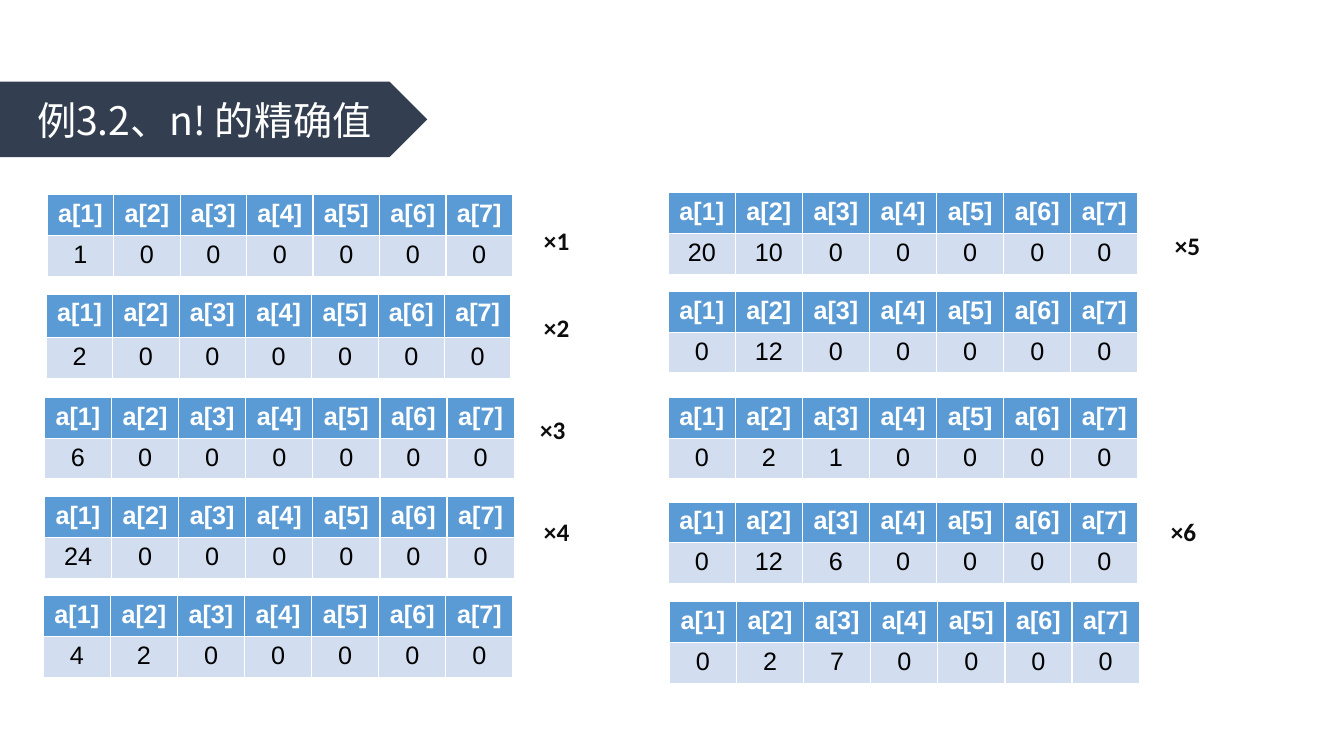
"""Build the slide that traces the exact value of n! through an array of digits."""
from dataclasses import dataclass

from lxml import etree
from pptx import Presentation
from pptx.dml.color import RGBColor
from pptx.enum.shapes import MSO_SHAPE
from pptx.enum.text import MSO_ANCHOR, MSO_AUTO_SIZE, PP_ALIGN
from pptx.oxml.ns import qn
from pptx.util import Cm, Pt

PENTAGON = MSO_SHAPE.PENTAGON
MIDDLE = MSO_ANCHOR.MIDDLE
NO_AUTOFIT = MSO_AUTO_SIZE.NONE
CENTER, LEFT = PP_ALIGN.CENTER, PP_ALIGN.LEFT
TITLE_ONLY = 5

TITLE = "例3.2、n! 的精确值"
DIGITS = 7
HEADERS = [f"a[{index}]" for index in range(1, DIGITS + 1)]

# left, top, width, header height, leading values
STATES = [
    (1.19, 4.90, 11.73, 1.03, (1,)),
    (1.17, 7.41, 11.71, 1.09, (2,)),
    (1.12, 10.01, 11.84, 1.03, (6,)),
    (1.12, 12.52, 11.84, 1.03, (24,)),
    (1.09, 15.01, 11.84, 1.03, (4, 2)),
    (16.84, 4.85, 11.84, 1.03, (20, 10)),
    (16.84, 7.34, 11.84, 1.03, (0, 12)),
    (16.84, 10.01, 11.84, 1.03, (0, 2, 1)),
    (16.84, 12.65, 11.84, 1.03, (0, 12, 6)),
    (16.87, 15.16, 11.84, 1.03, (0, 2, 7)),
]
FACTORS = [
    ("×1", 13.46, 5.56),
    ("×2", 13.46, 7.75),
    ("×3", 13.36, 10.31),
    ("×4", 13.46, 12.88),
    ("×5", 29.36, 5.69),
    ("×6", 29.26, 12.88),
]


@dataclass(frozen=True)
class Theme:
    """Colours, fonts and sizes of the slide."""
    banner: RGBColor = RGBColor.from_string("333F50")
    header: RGBColor = RGBColor.from_string("5B9BD5")
    body: RGBColor = RGBColor.from_string("D2DEEF")
    white: RGBColor = RGBColor.from_string("FFFFFF")
    black: RGBColor = RGBColor.from_string("000000")
    label: RGBColor = RGBColor.from_string("0D0D0D")
    title_font: str = "Noto Sans CJK SC"
    table_font: str = "Arial"
    label_font: str = "Calibri"
    title_size: Pt = Pt(28)
    text_size: Pt = Pt(18)


THEME = Theme()
TITLE_FORMAT = {"name": THEME.title_font, "size": THEME.title_size, "bold": False}
HEADER_FORMAT = {"name": THEME.table_font, "size": THEME.text_size, "bold": True}
BODY_FORMAT = HEADER_FORMAT | {"bold": False}
LABEL_FORMAT = HEADER_FORMAT | {"name": THEME.label_font}


def write(text_frame, text, font_format, color, alignment):
    """Fill a text frame with one formatted run and return the run."""
    paragraph = text_frame.paragraphs[0]
    paragraph.alignment = alignment
    run = paragraph.add_run()
    run.text = text
    for name, value in font_format.items():
        setattr(run.font, name, value)
    run.font.color.rgb = color
    return run


def add_title(slide):
    """Draw the banner and set the title on it."""
    banner = slide.shapes.add_shape(PENTAGON, 0, Cm(2.06), Cm(10.77), Cm(1.9))
    banner.shadow.inherit = False
    banner.fill.solid()
    banner.fill.fore_color.rgb = THEME.banner
    banner.line.fill.background()
    title = slide.shapes.title
    box = {"left": 0, "top": Cm(2.06), "width": Cm(10.3), "height": Cm(1.9)}
    for name, value in box.items():
        setattr(title, name, value)
    frame = title.text_frame
    frame.auto_size = NO_AUTOFIT
    frame.word_wrap = False
    frame.vertical_anchor = MIDDLE
    run = write(frame, TITLE, TITLE_FORMAT, THEME.white, CENTER)
    east_asian = etree.SubElement(run.font._element, qn("a:ea"))
    east_asian.set("typeface", THEME.title_font)
    banner.element.addnext(title.element)


def add_state(slide, left, top, width, header_height, leading):
    """Add one table holding the array at one step."""
    body_height = 1.03
    table = slide.shapes.add_table(2, DIGITS, Cm(left), Cm(top), Cm(width),
                                   Cm(header_height + body_height)).table
    values = leading + (0,) * (DIGITS - len(leading))
    rows = [
        (HEADERS, header_height, HEADER_FORMAT, THEME.white, THEME.header),
        (values, body_height, BODY_FORMAT, THEME.black, THEME.body),
    ]
    for row, (texts, height, font_format, color, fill) in zip(table.rows, rows):
        row.height = Cm(height)
        for cell, text in zip(row.cells, texts):
            cell.fill.solid()
            cell.fill.fore_color.rgb = fill
            write(cell.text_frame, str(text), font_format, color, CENTER)


def add_factor(slide, text, left, top):
    """Add the label of one multiplication."""
    box = slide.shapes.add_textbox(Cm(left), Cm(top), Cm(1.48), Cm(1.03))
    box.text_frame.word_wrap = False
    write(box.text_frame, text, LABEL_FORMAT, THEME.label, LEFT)


def main():
    """Build and save the presentation."""
    presentation = Presentation()
    presentation.slide_width = Cm(33.87)
    presentation.slide_height = Cm(19.05)
    slide = presentation.slides.add_slide(presentation.slide_layouts[TITLE_ONLY])
    add_title(slide)
    for state in STATES:
        add_state(slide, *state)
    for factor in FACTORS:
        add_factor(slide, *factor)
    presentation.save("out.pptx")


if __name__ == "__main__":
    main()
